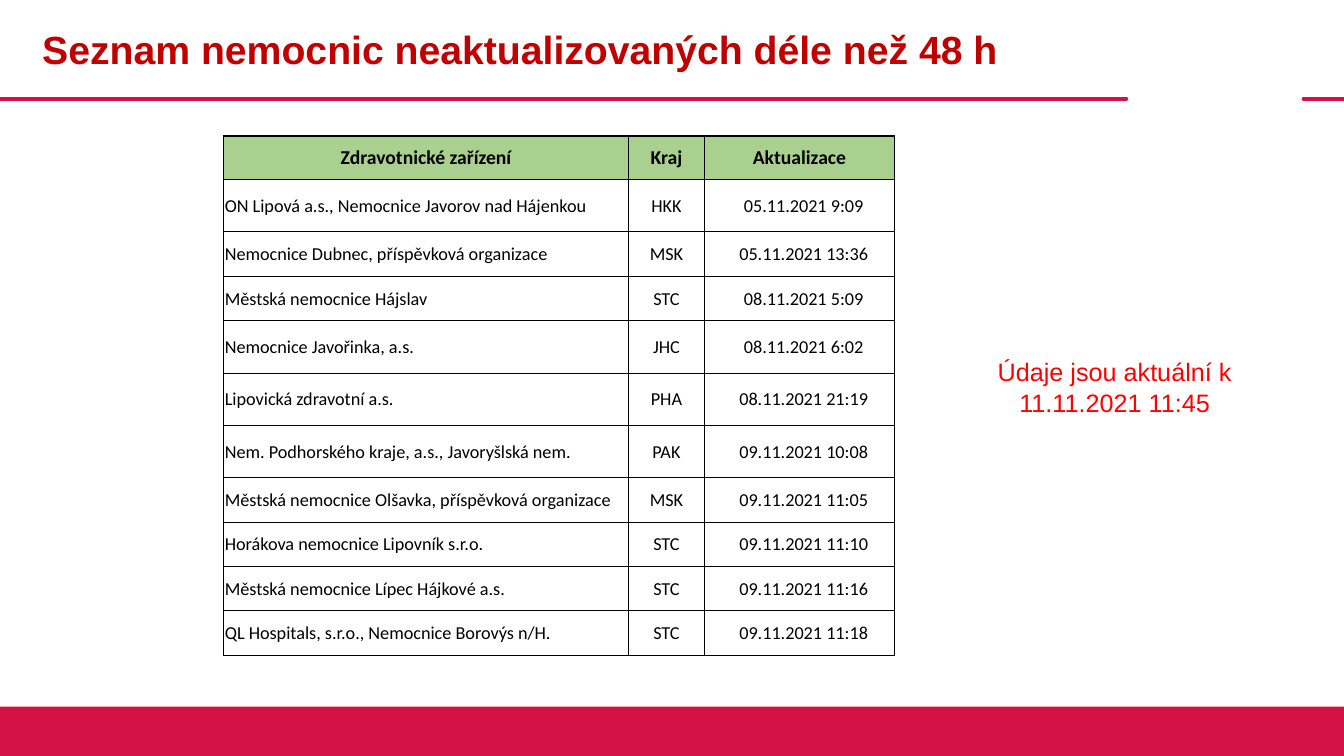
from dataclasses import dataclass

from lxml.etree import SubElement
from pptx import Presentation
from pptx.dml.color import RGBColor
from pptx.enum.shapes import MSO_CONNECTOR, MSO_SHAPE
from pptx.enum.text import MSO_ANCHOR, PP_ALIGN
from pptx.oxml.ns import qn
from pptx.util import Inches, Pt


@dataclass(frozen=True)
class Theme:
    band: str = "D31145"
    title: str = "C00000"
    note: str = "FF0000"
    header: str = "A9D08E"
    ink: str = "000000"
    heading_font: str = "Arial"
    table_font: str = "Calibri"
    title_size: int = 28
    note_size: int = 18
    header_size: int = 14
    body_size: int = 13
    rule_width: float = 3
    outer_border: float = 1
    inner_border: float = 0.5


THEME = Theme()
SLIDE_WIDTH, SLIDE_HEIGHT = 13.33, 7.5
COLUMN_WIDTHS = (4.01, 0.76, 1.88)
HEADER_HEIGHT, TALL, SHORT = 0.43, 0.52, 0.44
HEADINGS = ("Zdravotnické zařízení", "Kraj", "Aktualizace")
HOSPITALS = (
    (TALL, "ON Lipová a.s., Nemocnice Javorov nad Hájenkou", "HKK", "05.11.2021 9:09"),
    (SHORT, "Nemocnice Dubnec, příspěvková organizace", "MSK", "05.11.2021 13:36"),
    (SHORT, "Městská nemocnice Hájslav", "STC", "08.11.2021 5:09"),
    (TALL, "Nemocnice Javořinka, a.s.", "JHC", "08.11.2021 6:02"),
    (TALL, "Lipovická zdravotní a.s.", "PHA", "08.11.2021 21:19"),
    (TALL, "Nem. Podhorského kraje, a.s., Javoryšlská nem.", "PAK", "09.11.2021 10:08"),
    (SHORT, "Městská nemocnice Olšavka, příspěvková organizace", "MSK", "09.11.2021 11:05"),
    (SHORT, "Horákova nemocnice Lipovník s.r.o.", "STC", "09.11.2021 11:10"),
    (SHORT, "Městská nemocnice Lípec Hájkové a.s.", "STC", "09.11.2021 11:16"),
    (SHORT, "QL Hospitals, s.r.o., Nemocnice Borovýs n/H.", "STC", "09.11.2021 11:18"),
)


def add_span(para, text, font, size, color, bold=False):
    span = para.add_run()
    span.text = text
    span.font.name = font
    span.font.size = Pt(size)
    span.font.bold = bold
    span.font.color.rgb = RGBColor.from_string(color)


def add_text_box(page, box):
    """Add an empty wrapping text box and return its text frame."""
    frame = page.shapes.add_textbox(*map(Inches, box)).text_frame
    frame.word_wrap = True
    return frame


def add_rule(page, start, end, top):
    rule = page.shapes.add_connector(
        MSO_CONNECTOR.STRAIGHT, Inches(start), Inches(top), Inches(end), Inches(top))
    rule.line.color.rgb = RGBColor.from_string(THEME.band)
    rule.line.width = Pt(THEME.rule_width)
    rule.line._get_or_add_ln().set("cap", "rnd")
    SubElement(rule._element.spPr, qn("a:effectLst"))


def add_footer_band(page, box):
    band = page.shapes.add_shape(MSO_SHAPE.RECTANGLE, *map(Inches, box))
    band.shadow.inherit = False
    band.fill.solid()
    band.fill.fore_color.rgb = RGBColor.from_string(THEME.band)
    band.line.fill.background()


def add_title(page, box):
    frame = add_text_box(page, box)
    frame.vertical_anchor = MSO_ANCHOR.TOP
    frame.margin_top = Inches(0.04)
    para = frame.paragraphs[0]
    para.line_spacing = 0.9
    add_span(para, "Seznam nemocnic neaktualizovaných déle než 48 h",
             THEME.heading_font, THEME.title_size, THEME.title, bold=True)


def add_note(page, box):
    para = add_text_box(page, box).paragraphs[0]
    para.alignment = PP_ALIGN.CENTER
    add_span(para, "Údaje jsou aktuální k 11.11.2021 11:45",
             THEME.heading_font, THEME.note_size, THEME.note)


def set_borders(cell, widths):
    """Draw the left, right, top and bottom borders, before the cell's fill."""
    properties = cell._tc.get_or_add_tcPr()
    for position, (side, width) in enumerate(zip("LRTB", widths)):
        border = SubElement(properties, qn(f"a:ln{side}"), w=str(Pt(width)))
        fill = SubElement(border, qn("a:solidFill"))
        SubElement(fill, qn("a:srgbClr"), val=THEME.ink)
        properties.insert(position, border)


def fill_cell(cell, text, row, column):
    is_header = row == 0
    is_date = column == 2 and not is_header
    cell.margin_left = Inches(0.09 if is_date else 0.01)
    cell.margin_right = cell.margin_top = Inches(0.01)
    cell.margin_bottom = 0
    cell.vertical_anchor = MSO_ANCHOR.MIDDLE
    if is_header:
        cell.fill.solid()
        cell.fill.fore_color.rgb = RGBColor.from_string(THEME.header)
    else:
        cell.fill.background()
    outer, inner = THEME.outer_border, THEME.inner_border
    set_borders(cell, (outer if column == 0 else inner,
                       outer if column == 2 else inner,
                       outer if is_header else inner,
                       inner))
    para = cell.text_frame.paragraphs[0]
    para.alignment = PP_ALIGN.CENTER if is_header or column else PP_ALIGN.LEFT
    size = THEME.header_size if is_header else THEME.body_size
    add_span(para, text, THEME.table_font, size, THEME.ink, bold=is_header)


def add_hospital_table(page, left, top):
    records = ((HEADER_HEIGHT, *HEADINGS), *HOSPITALS)
    total_height = sum(record[0] for record in records)
    table = page.shapes.add_table(
        len(records), len(COLUMN_WIDTHS), Inches(left), Inches(top),
        Inches(sum(COLUMN_WIDTHS)), Inches(total_height)).table
    table.horz_banding = False
    for column, width in zip(table.columns, COLUMN_WIDTHS):
        column.width = Inches(width)
    for row, (height, *texts) in enumerate(records):
        table.rows[row].height = Inches(height)
        for column, text in enumerate(texts):
            fill_cell(table.cell(row, column), text, row, column)


def build_overview(page):
    add_rule(page, 0, 11.17, 0.98)
    add_rule(page, 12.93, SLIDE_WIDTH, 0.98)
    add_footer_band(page, (0, 7.01, SLIDE_WIDTH, SLIDE_HEIGHT - 7.01))
    add_title(page, (0.32, 0.26, 10.81, 0.98))
    add_note(page, (9.78, 3.49, 2.55, 0.71))
    add_hospital_table(page, 2.22, 1.35)


def main():
    deck = Presentation()
    deck.slide_width = Inches(SLIDE_WIDTH)
    deck.slide_height = Inches(SLIDE_HEIGHT)
    build_overview(deck.slides.add_slide(deck.slide_layouts[6]))
    deck.save("out.pptx")


if __name__ == "__main__":
    main()
